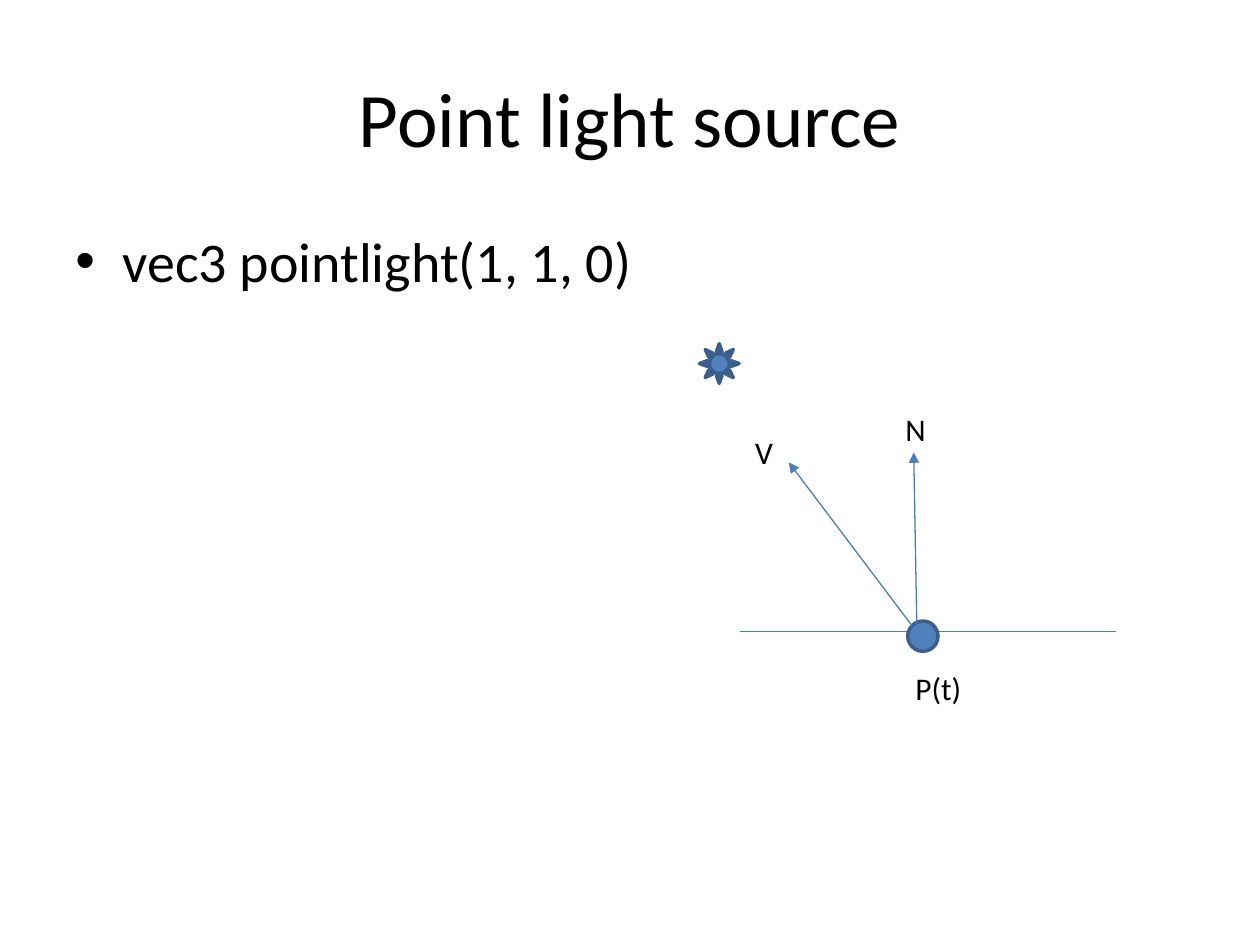
from lxml.etree import SubElement
from pptx import Presentation
from pptx.dml.color import RGBColor
from pptx.enum.shapes import MSO_CONNECTOR, MSO_SHAPE
from pptx.enum.text import MSO_ANCHOR, PP_ALIGN
from pptx.oxml.ns import qn
from pptx.util import Cm, Pt


def color(hex_code):
    return RGBColor.from_string(hex_code)


class SlideBuilder:
    font = "Calibri"
    ink = "000000"
    fill = "4F81BD"
    outline = "3A5F8C"
    stroke = "4B7EBC"

    def __init__(self, slide):
        self.slide = slide

    def text(self, words, left, top, width, height, size,
             align=PP_ALIGN.CENTER, anchor=MSO_ANCHOR.TOP):
        box = self.slide.shapes.add_textbox(Cm(left), Cm(top), Cm(width), Cm(height))
        frame = box.text_frame
        frame.word_wrap = True
        frame.vertical_anchor = anchor
        para = frame.paragraphs[0]
        para.alignment = align
        span = para.add_run()
        span.text = words
        span.font.name = self.font
        span.font.size = Pt(size)
        span.font.color.rgb = color(self.ink)
        return para

    def bullet(self, words, left, top, width, height, size):
        para = self.text(words, left, top, width, height, size, PP_ALIGN.LEFT)
        para.space_before = Pt(size * 0.2)
        properties = para._p.get_or_add_pPr()
        properties.set("marL", str(Cm(0.95)))
        properties.set("indent", str(-Cm(0.95)))
        SubElement(properties, qn("a:buFont")).set("typeface", "Arial")
        SubElement(properties, qn("a:buChar")).set("char", "•")

    def shape(self, kind, left, top, size):
        shape = self.slide.shapes.add_shape(kind, Cm(left), Cm(top), Cm(size), Cm(size))
        shape.shadow.inherit = False
        shape.fill.solid()
        shape.fill.fore_color.rgb = color(self.fill)
        shape.line.color.rgb = color(self.outline)
        shape.line.width = Pt(2)

    def line(self, start, end, arrow=False):
        points = [Cm(value) for value in (*start, *end)]
        connector = self.slide.shapes.add_connector(MSO_CONNECTOR.STRAIGHT, *points)
        connector.line.color.rgb = color(self.stroke)
        connector.line.width = Pt(0.75)
        if arrow:
            SubElement(connector.line._get_or_add_ln(), qn("a:tailEnd")).set("type", "triangle")
        SubElement(connector._element.spPr, qn("a:effectLst"))


def main():
    deck = Presentation()
    deck.slide_width, deck.slide_height = Cm(25.4), Cm(19.05)
    page = SlideBuilder(deck.slides.add_slide(deck.slide_layouts[6]))

    # Title and declaration
    page.text("Point light source", 1.27, 0.76, 22.86, 3.18, 44, anchor=MSO_ANCHOR.MIDDLE)
    page.bullet("vec3 pointlight(1, 1, 0)", 1.27, 4.45, 22.86, 12.57, 32)

    # Light, surface and lit point
    page.shape(MSO_SHAPE.SUN, 14.1, 6.93, 0.8)
    page.line((14.91, 12.73), (22.5, 12.73))
    page.shape(MSO_SHAPE.OVAL, 18.3, 12.52, 0.61)

    # Normal and light vectors
    page.line((18.49, 13.03), (18.42, 9.12), arrow=True)
    page.line((18.39, 12.62), (15.9, 9.32), arrow=True)

    # Labels
    for words, left, top in (("N", 17.45, 8.15), ("V", 14.4, 8.61), ("P(t)", 17.91, 13.36)):
        page.text(words, left, top, 2.01, 1.02, 18)

    deck.save("out.pptx")


if __name__ == "__main__":
    main()
